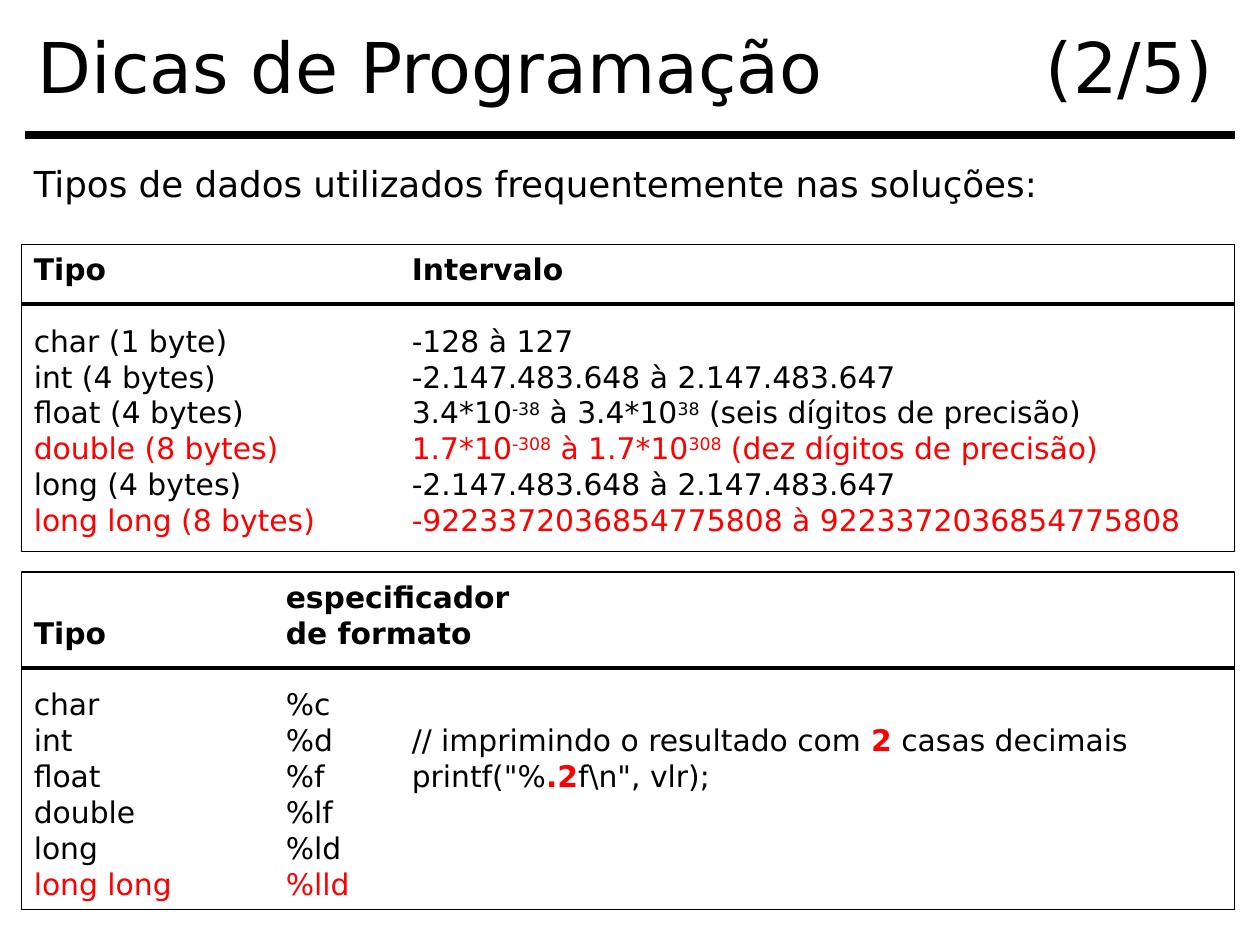
"""Build the slide on data types and format specifiers in C."""
from lxml import etree
from pptx import Presentation
from pptx import util as u
from pptx.dml.color import RGBColor
from pptx.enum import shapes, text
from pptx.oxml.ns import qn

FONT, BLACK, RED = "DejaVu Sans", "000000", "FF0000"
LEFT, RIGHT = 0.17, 9.8
BODY_SIZE, LINE_PITCH = 17, 1.205
SUPER, STRONG = "superscript", "strong"

TITLE = "Dicas de Programação\t(2/5)"
INTRO = "Tipos de dados utilizados frequentemente nas soluções:"

PANELS = [
    {
        "top": 1.94, "height": 2.44, "rule": 2.41, "tabs": [3],
        "header": ["Tipo\tIntervalo"],
        "rows": [
            (BLACK, ["char (1 byte)\t-128 à 127"]),
            (BLACK, ["int (4 bytes)\t-2.147.483.648 à 2.147.483.647"]),
            (BLACK, ["float (4 bytes)\t3.4*10", ("-38", SUPER), " à 3.4*10",
                     ("38", SUPER), " (seis dígitos de precisão)"]),
            (RED, ["double (8 bytes)\t1.7*10", ("-308", SUPER), " à 1.7*10",
                   ("308", SUPER), " (dez dígitos de precisão)"]),
            (BLACK, ["long (4 bytes)\t-2.147.483.648 à 2.147.483.647"]),
            (RED, ["long long (8 bytes)\t-9223372036854775808 à 9223372036854775808"]),
        ],
    },
    {
        "top": 4.54, "height": 2.68, "rule": 5.3, "tabs": [2, 3],
        "header": ["\tespecificador", "Tipo\tde formato"],
        "rows": [
            (BLACK, ["char\t%c"]),
            (BLACK, ["int\t%d\t// imprimindo o resultado com ", ("2", STRONG),
                     " casas decimais"]),
            (BLACK, ["float\t%f\tprintf(\"%", (".2", STRONG), "f\\n\", vlr);"]),
            (BLACK, ["double\t%lf"]),
            (BLACK, ["long\t%ld"]),
            (RED, ["long long\t%lld"]),
        ],
    },
]


def rgb(value):
    return RGBColor.from_string(value)


def format_paragraph(paragraph, size, color=BLACK, bold=False, tabs=(), pitch=LINE_PITCH):
    paragraph.alignment = text.PP_ALIGN.LEFT
    if tabs:
        properties = paragraph._p.get_or_add_pPr()
        tab_list = etree.SubElement(properties, qn("a:tabLst"))
        for position in tabs:
            etree.SubElement(tab_list, qn("a:tab"), pos=str(u.Inches(position)), algn="l")
    paragraph.line_spacing = u.Pt(round(size * pitch, 1)) if pitch else 1.0
    paragraph.space_before = u.Pt(0)
    font = paragraph.font
    font.name, font.size, font.bold = FONT, u.Pt(size), bold
    font.color.rgb = rgb(color)


def add_runs(paragraph, pieces):
    for piece in pieces:
        content, style = piece if isinstance(piece, tuple) else (piece, None)
        run = paragraph.add_run()
        run.text = content
        if style == SUPER:
            run._r.get_or_add_rPr().set("baseline", "30000")
        elif style == STRONG:
            run.font.bold = True
            run.font.color.rgb = rgb(RED)


def add_rule(slide, left, top, width):
    line = slide.shapes.add_connector(
        shapes.MSO_CONNECTOR.STRAIGHT,
        u.Inches(left), u.Inches(top), u.Inches(RIGHT), u.Inches(top))
    line.line.color.rgb = rgb(BLACK)
    line.line.width = u.Pt(width)
    etree.SubElement(line._element.spPr, qn("a:effectLst"))


def add_panel(slide, panel):
    shape = slide.shapes.add_shape(
        shapes.MSO_SHAPE.RECTANGLE, u.Inches(LEFT), u.Inches(panel["top"]),
        u.Inches(RIGHT - LEFT), u.Inches(panel["height"]))
    shape.shadow.inherit = False
    shape.fill.background()
    shape.line.color.rgb = rgb(BLACK)
    shape.line.width = u.Pt(0.75)
    frame = shape.text_frame
    frame.word_wrap = True
    frame.vertical_anchor = text.MSO_ANCHOR.TOP
    header = [(BLACK, [label]) for label in panel["header"]]
    for index, (color, pieces) in enumerate(header + panel["rows"]):
        paragraph = frame.add_paragraph() if index else frame.paragraphs[0]
        format_paragraph(paragraph, BODY_SIZE, color, index < len(header), panel["tabs"])
        if index == len(header):
            paragraph.space_before = u.Pt(round(BODY_SIZE * LINE_PITCH, 1))
        add_runs(paragraph, pieces)
    add_rule(slide, LEFT, panel["rule"], 2.25)


def add_title(slide):
    title = slide.shapes.title
    title.left, title.top = u.Inches(0.2), u.Inches(0.05)
    title.width, title.height = u.Inches(9.69), u.Inches(0.94)
    frame = title.text_frame
    frame.auto_size = text.MSO_AUTO_SIZE.NONE
    frame.vertical_anchor = text.MSO_ANCHOR.MIDDLE
    format_paragraph(frame.paragraphs[0], 40, tabs=[8], pitch=None)
    add_runs(frame.paragraphs[0], [TITLE])
    add_rule(slide, 0.2, 1.07, 4.5)


def add_intro(slide):
    box = slide.shapes.add_textbox(
        u.Inches(LEFT), u.Inches(1.23), u.Inches(RIGHT - LEFT), u.Inches(0.39))
    box.text_frame.word_wrap = True
    paragraph = box.text_frame.paragraphs[0]
    format_paragraph(paragraph, 20.4)
    add_runs(paragraph, [INTRO])


def main():
    presentation = Presentation()
    presentation.slide_width, presentation.slide_height = u.Inches(10), u.Inches(7.5)
    slide = presentation.slides.add_slide(presentation.slide_layouts[5])
    add_title(slide)
    add_intro(slide)
    for panel in PANELS:
        add_panel(slide, panel)
    presentation.save("out.pptx")


if __name__ == "__main__":
    main()
